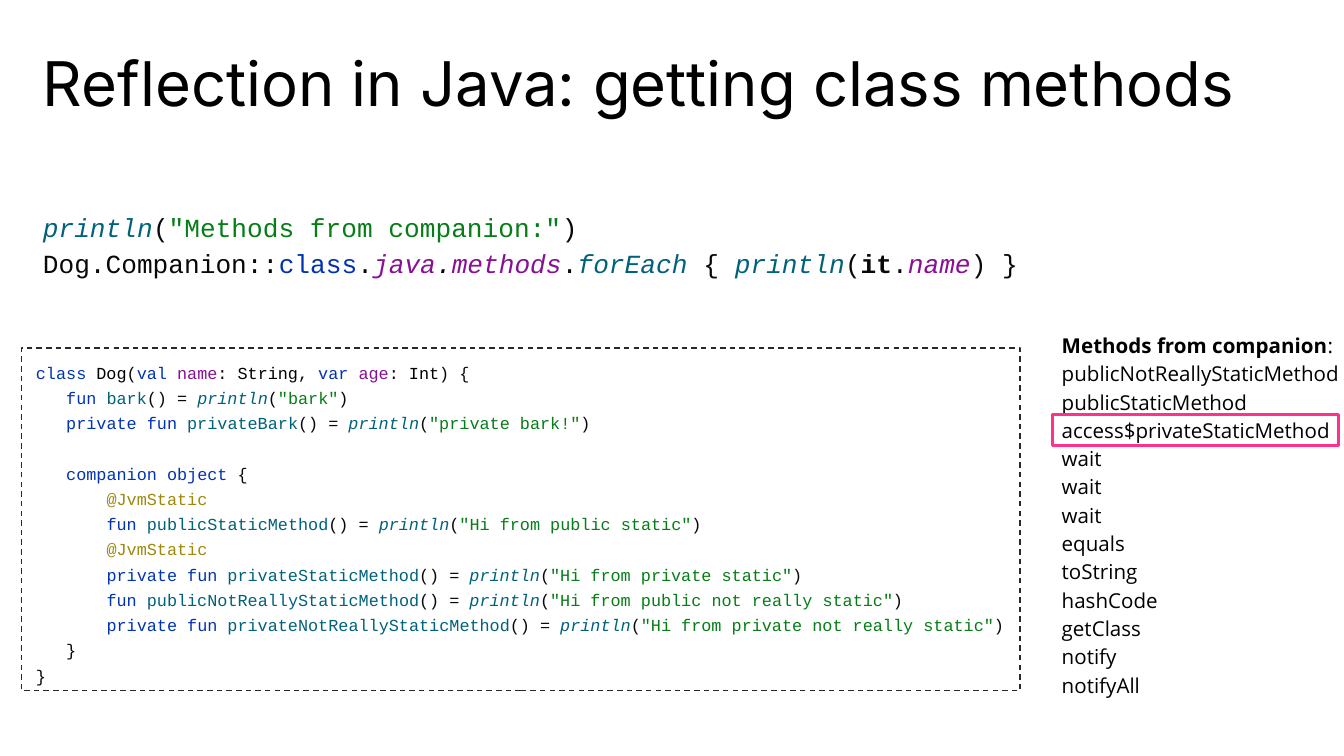
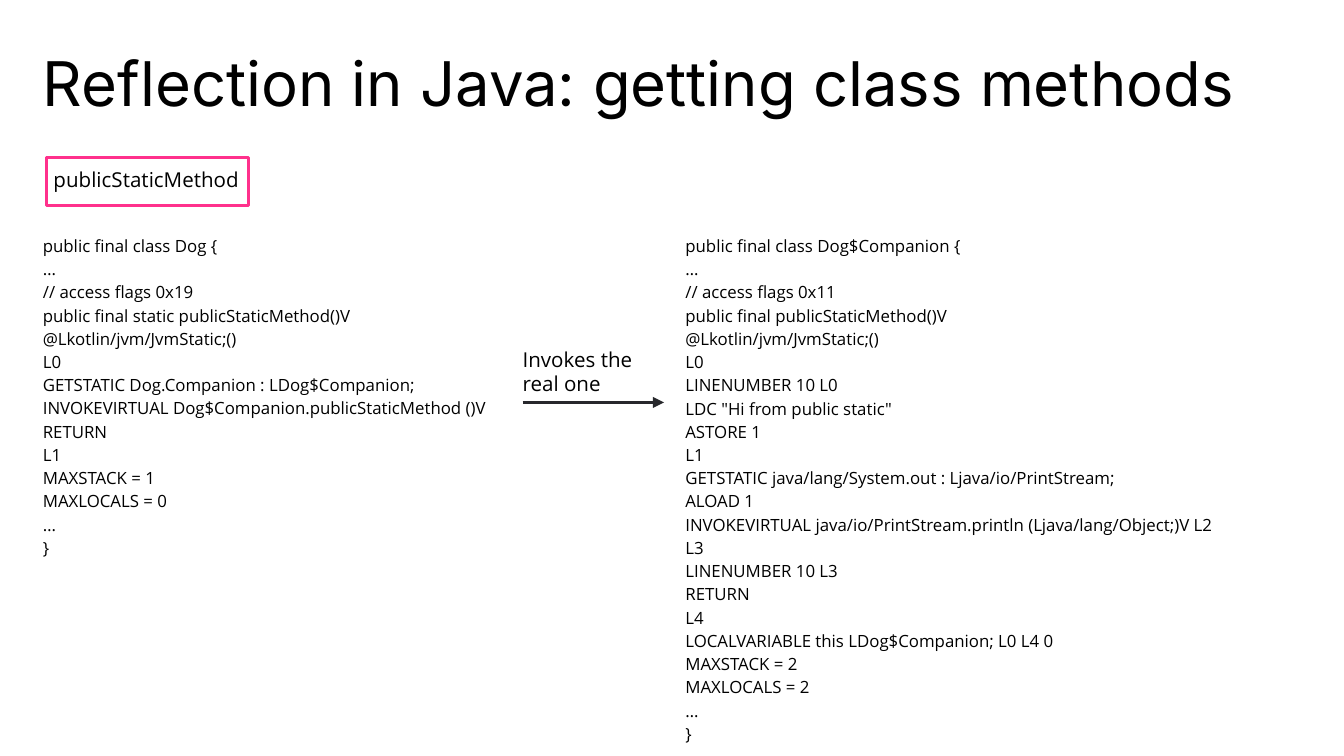
import pptx
import pptx.dml.color
import pptx.enum.dml
import pptx.enum.shapes
import pptx.enum.text
import pptx.oxml.ns
import pptx.util
from lxml import etree

Pt = pptx.util.Pt
qn = pptx.oxml.ns.qn
AutoSize = pptx.enum.text.MSO_AUTO_SIZE

COLORS = {
    "black": "000000", "code": "080808", "blue": "0033B3", "teal": "00627A",
    "green": "067D17", "purple": "871094", "olive": "9E880D",
    "frame": "27282C", "pink": "FF318C",
}
# Style name: colour, bold, italic
STYLES = {
    "text": ("black", False, False),
    "heading": ("black", True, False),
    "code": ("code", False, False),
    "slanted": ("code", False, True),
    "implicit": ("code", True, False),
    "keyword": ("blue", False, False),
    "function": ("teal", False, False),
    "call": ("teal", False, True),
    "string": ("green", False, False),
    "field": ("purple", False, False),
    "property": ("purple", False, True),
    "annotation": ("olive", False, False),
}
TITLE_FONT, CODE_FONT, TEXT_FONT = "Inter", "Courier New", "Open Sans"
TITLE = "Reflection in Java: getting class methods"


def method(indent, keywords, name, message):
    """One Kotlin method that prints a message."""
    return [(" " * indent, "code"), (keywords + " ", "keyword"), (name, "function"),
            ("() = ", "code"), ("println", "call"), ("(", "code"),
            (f'"{message}"', "string"), (")", "code")]


# Content of the first slide
REFLECTION_CALL = [
    [("println", "call"), ("(", "code"), ('"Methods from companion:"', "string"), (")", "code")],
    [("Dog.Companion::", "code"), ("class", "keyword"), (".", "code"),
     ("java", "property"), (".", "slanted"), ("methods", "property"), (".", "code"),
     ("forEach", "call"), (" { ", "code"), ("println", "call"), ("(", "code"),
     ("it", "implicit"), (".", "code"), ("name", "property"), (") }", "code")],
]
JVM_STATIC = [("       ", "code"), ("@JvmStatic", "annotation")]
DOG_CLASS = [
    [("class ", "keyword"), ("Dog", "text"), ("(", "code"), ("val ", "keyword"),
     ("name", "field"), (": ", "code"), ("String", "text"), (", ", "code"),
     ("var ", "keyword"), ("age", "field"), (": ", "code"), ("Int", "text"), (") {", "code")],
    method(3, "fun", "bark", "bark"),
    method(3, "private fun", "privateBark", "private bark!"),
    [],
    [("   ", "code"), ("companion object ", "keyword"), ("{", "code")],
    JVM_STATIC,
    method(7, "fun", "publicStaticMethod", "Hi from public static"),
    JVM_STATIC,
    method(7, "private fun", "privateStaticMethod", "Hi from private static"),
    method(7, "fun", "publicNotReallyStaticMethod", "Hi from public not really static"),
    method(7, "private fun", "privateNotReallyStaticMethod",
           "Hi from private not really static"),
    [("   }", "code")],
    [("}", "code")],
]
COMPANION_METHODS = [
    [("Methods from companion", "heading"), (": publicNotReallyStaticMethod", "text")],
    "publicStaticMethod", "access$privateStaticMethod", "wait", "wait", "wait",
    "equals", "toString", "hashCode", "getClass", "notify", "notifyAll",
]

# Content of the second slide
DOG_BYTECODE = """public final class Dog {
…
// access flags 0x19
public final static publicStaticMethod()V
@Lkotlin/jvm/JvmStatic;()
L0
GETSTATIC Dog.Companion : LDog$Companion;
INVOKEVIRTUAL Dog$Companion.publicStaticMethod ()V
RETURN
L1
MAXSTACK = 1
MAXLOCALS = 0
…
}""".splitlines()
COMPANION_BYTECODE = """public final class Dog$Companion {
…
// access flags 0x11
public final publicStaticMethod()V
@Lkotlin/jvm/JvmStatic;()
L0
LINENUMBER 10 L0
LDC "Hi from public static"
ASTORE 1
L1
GETSTATIC java/lang/System.out : Ljava/io/PrintStream;
ALOAD 1
INVOKEVIRTUAL java/io/PrintStream.println (Ljava/lang/Object;)V L2
L3
LINENUMBER 10 L3
RETURN
L4
LOCALVARIABLE this LDog$Companion; L0 L4 0
MAXSTACK = 2
MAXLOCALS = 2
…
}""".splitlines()


def rgb(name):
    return pptx.dml.color.RGBColor.from_string(COLORS[name])


def place(box, area):
    box.left, box.top, box.width, box.height = [Pt(length) for length in area]


def write(box, lines, font=TEXT_FONT, size=11, spacing=1.0,
          insets=(7.2, 7.2, 7.2, 7.2), fit=AutoSize.SHAPE_TO_FIT_TEXT):
    """Fill a box with lines; a line is a string or a list of (text, style)."""
    frame = box.text_frame
    frame.word_wrap = True
    frame.auto_size = fit
    frame.vertical_anchor = pptx.enum.text.MSO_ANCHOR.TOP
    (frame.margin_left, frame.margin_top,
     frame.margin_right, frame.margin_bottom) = [Pt(inset) for inset in insets]
    for number, line in enumerate(lines):
        para = frame.add_paragraph() if number else frame.paragraphs[0]
        para.alignment = pptx.enum.text.PP_ALIGN.LEFT
        para.line_spacing = spacing
        para.space_before = para.space_after = Pt(0)
        if box.is_placeholder:
            properties = para._p.get_or_add_pPr()
            properties.set("marL", "0")
            properties.set("indent", "0")
            etree.SubElement(properties, qn("a:buNone"))
        for text, style in [(line, "text")] if isinstance(line, str) else line:
            color, bold, italic = STYLES[style]
            span = para.add_run()
            span.text = text
            span.font.name, span.font.size = font, Pt(size)
            span.font.bold, span.font.italic = bold, italic
            span.font.color.rgb = rgb(color)
        if not line:  # a blank code line keeps the height of the others
            end = etree.SubElement(para._p, qn("a:endParaRPr"), sz=str(size * 100))
            etree.SubElement(end, qn("a:latin"), typeface=font)


def add_text(page, area, lines, **text_format):
    box = page.shapes.add_textbox(*[Pt(length) for length in area])
    write(box, lines, **text_format)


def add_outline(page, area, color, width, dash=None):
    box = page.shapes.add_shape(pptx.enum.shapes.MSO_SHAPE.RECTANGLE,
                                *[Pt(length) for length in area])
    box.shadow.inherit = False
    box.fill.background()
    box.line.color.rgb = rgb(color)
    box.line.width = Pt(width)
    if dash:
        box.line.dash_style = dash


def add_arrow(page, start, end):
    arrow = page.shapes.add_connector(pptx.enum.shapes.MSO_CONNECTOR.CURVE,
                                      *[Pt(length) for length in start + end])
    arrow.line.color.rgb = rgb("frame")
    arrow.line.width = Pt(1.5)
    etree.SubElement(arrow.line._get_or_add_ln(), qn("a:tailEnd"), type="triangle")
    etree.SubElement(arrow._element.spPr, qn("a:effectLst"))


def add_page(deck, layout):
    page = deck.slides.add_slide(deck.slide_layouts[layout])
    place(page.shapes.title, (LEFT, 23, 669.6, 36))
    write(page.shapes.title, [TITLE], font=TITLE_FONT, size=33, spacing=0.85,
          insets=(0, 7.2, 0, 7.2), fit=AutoSize.NONE)
    return page


LEFT = 23
LIST_FORMAT = {"spacing": 1.15, "insets": (0, 7.2, 7.2, 7.2)}


def build_methods_page(deck):
    page = add_page(deck, layout=1)
    body = page.placeholders[1]
    place(body, (LEFT, 105.1, 628, 69))
    write(body, REFLECTION_CALL, font=CODE_FONT, size=14, spacing=1.15,
          insets=(0, 5.8, 0, 0), fit=AutoSize.NONE)

    # Methods printed, with the accessor marked
    add_text(page, (568.8, 169.2, 151.2, 211.7), COMPANION_METHODS,
             spacing=1.15, insets=(0, 7.2, 0, 7.2))

    # Class under inspection
    add_outline(page, (11.5, 186.5, 535, 183.6), "frame", 0.75,
                pptx.enum.dml.MSO_LINE.DASH)
    add_text(page, (12.2, 184.3, 563.8, 189.4), DOG_CLASS,
             font=CODE_FONT, size=9, spacing=1.25)
    add_outline(page, (563.8, 222, 153.4, 16.6), "pink", 1.5)


def build_bytecode_page(deck):
    page = add_page(deck, layout=5)

    # Bytecode of both classes
    add_text(page, (LEFT, 117.4, 305.3, 188.6), DOG_BYTECODE, size=9, **LIST_FORMAT)
    add_text(page, (367.2, 117.4, 342.7, 288.7), COMPANION_BYTECODE, size=9, **LIST_FORMAT)

    # Call from one class to the other
    add_arrow(page, (280, 215.6), (355.7, 215.6))
    add_text(page, (272.9, 178.6, 79.2, 41), ["Invokes the real one"])

    # Method name
    add_text(page, (21.6, 82.8, 146.2, 28.1), ["publicStaticMethod"])
    add_outline(page, (25, 84.6, 108.3, 25.4), "pink", 1.5)


def main():
    deck = pptx.Presentation()
    deck.slide_width, deck.slide_height = Pt(720), Pt(405)
    build_methods_page(deck)
    build_bytecode_page(deck)
    deck.save("out.pptx")


if __name__ == "__main__":
    main()
